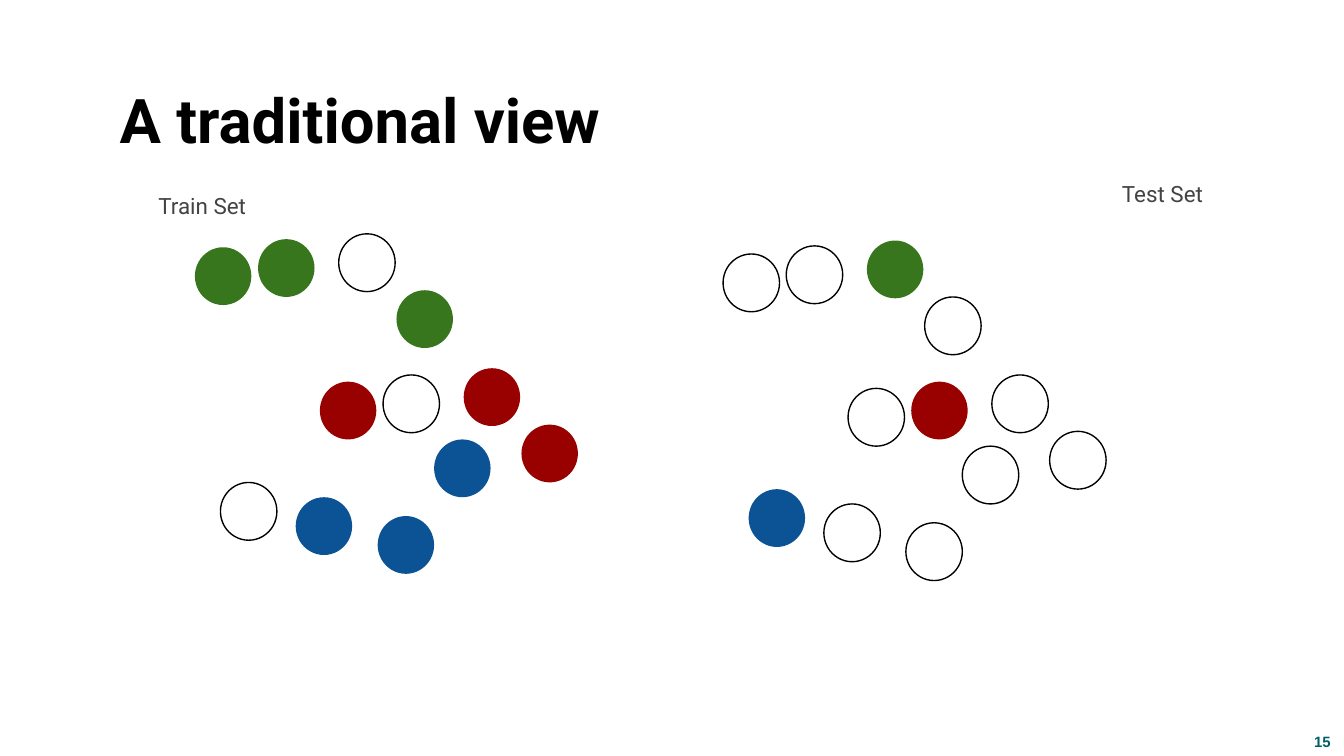
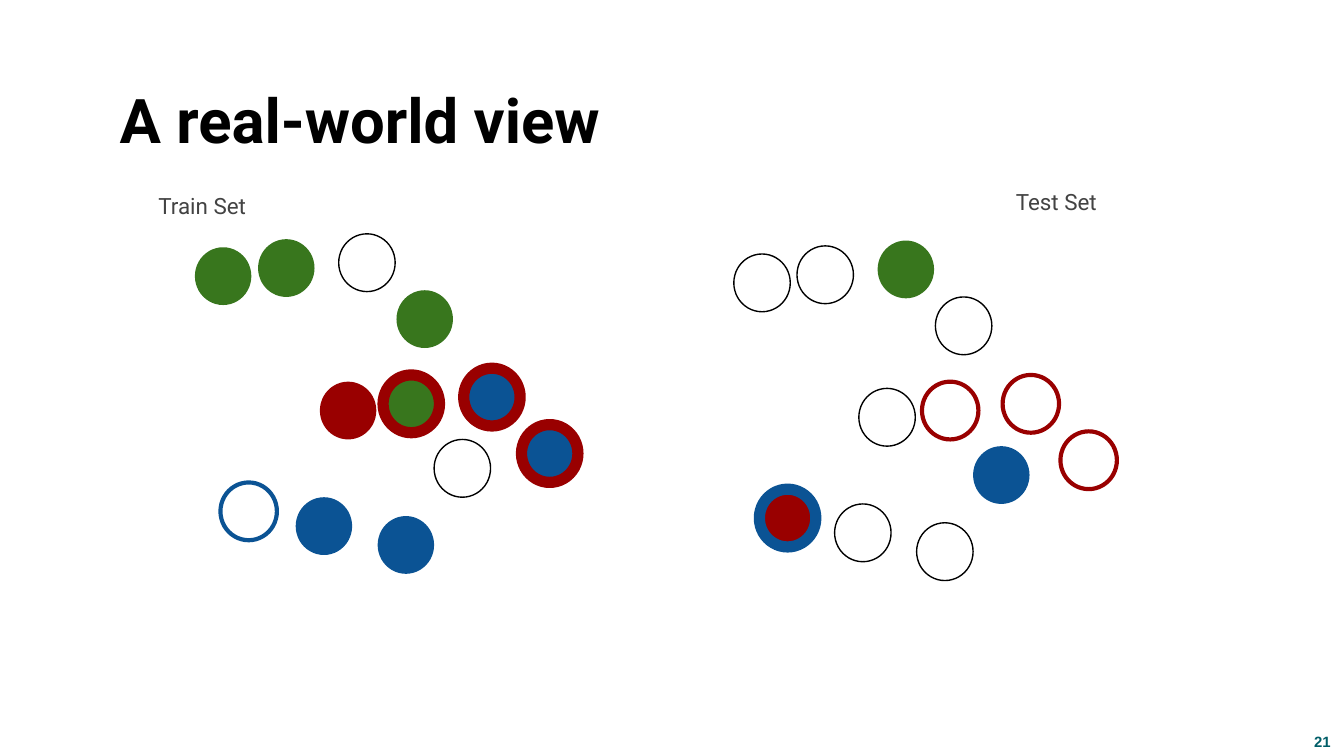
"""Build two slides that compare a traditional and a real-world view of train and test sets."""
from pptx import Presentation
from pptx.dml.color import RGBColor
from pptx.enum.shapes import MSO_SHAPE
from pptx.enum.text import MSO_ANCHOR, MSO_AUTO_SIZE, PP_ALIGN
from pptx.util import Inches, Pt

COLORS = {
    "black": "000000",
    "gray": "434343",
    "teal": "005E68",
    "green": "38761D",
    "red": "990000",
    "blue": "0B5394",
}

DOT_STYLES = {
    "empty": (None, "black", 0.75),
    "green": ("green", None, 0),
    "red": ("red", None, 0),
    "blue": ("blue", None, 0),
    "red ring": (None, "red", 2.25),
    "blue ring": (None, "blue", 2.25),
    "green in red": ("green", "red", 6),
    "blue in red": ("blue", "red", 6),
    "red in blue": ("red", "blue", 6),
}

DOT_POSITIONS = [
    (1.64, 3.59), (2.81, 3.84), (2.2, 3.7), (3.23, 3.27),
    (2.38, 2.84), (2.85, 2.79), (3.45, 2.74), (3.88, 3.16),
    (1.45, 1.84), (1.92, 1.78), (2.52, 1.74), (2.95, 2.16),
]

GREEN_TRAIN = ["green", "green", "empty", "green"]
GREEN_TEST = ["empty", "empty", "green", "empty"]

SLIDES = [
    {
        "title": "A traditional view",
        "number": "15",
        "sets": [
            ("Train Set", (0.79, 1.33, 8.43, 3.74), (0, 0),
             ["empty", "blue", "blue", "blue",
              "red", "empty", "red", "red"] + GREEN_TRAIN),
            ("Test Set", (7.96, 1.24, 2.04, 0.49), (3.93, 0.05),
             ["blue", "empty", "empty", "empty",
              "empty", "red", "empty", "empty"] + GREEN_TEST),
        ],
    },
    {
        "title": "A real-world view",
        "number": "21",
        "sets": [
            ("Train Set", (0.79, 1.33, 8.43, 3.74), (0, 0),
             ["blue ring", "blue", "blue", "empty",
              "red", "green in red", "blue in red", "blue in red"] + GREEN_TRAIN),
            ("Test Set", (7.17, 1.3, 2.83, 0.49), (4.01, 0.05),
             ["red in blue", "empty", "empty", "blue",
              "empty", "red ring", "red ring", "red ring"] + GREEN_TEST),
        ],
    },
]


def write_text(shape, box, text, font, size, color, bold=False, anchor=MSO_ANCHOR.TOP):
    shape.left, shape.top, shape.width, shape.height = [Inches(length) for length in box]
    frame = shape.text_frame
    frame.word_wrap = True
    frame.auto_size = MSO_AUTO_SIZE.NONE
    frame.vertical_anchor = anchor
    frame.margin_left = frame.margin_right = Inches(0.1)
    frame.margin_top = frame.margin_bottom = Inches(0.1)
    paragraph = frame.paragraphs[0]
    paragraph.alignment = PP_ALIGN.LEFT
    run = paragraph.add_run()
    run.text = text
    run.font.name = font
    run.font.size = Pt(size)
    run.font.bold = bold
    run.font.color.rgb = RGBColor.from_string(COLORS[color])
    return paragraph


def add_dot(slide, left, top, style):
    fill, line, width = DOT_STYLES[style]
    dot = slide.shapes.add_shape(
        MSO_SHAPE.OVAL, Inches(left), Inches(top), Inches(0.42), Inches(0.43))
    dot.shadow.inherit = False
    if fill:
        dot.fill.solid()
        dot.fill.fore_color.rgb = RGBColor.from_string(COLORS[fill])
    else:
        dot.fill.background()
    if line:
        dot.line.color.rgb = RGBColor.from_string(COLORS[line])
        dot.line.width = Pt(width)
    else:
        dot.line.fill.background()


presentation = Presentation()
presentation.slide_width = Inches(10)
presentation.slide_height = Inches(10 * 9 / 16)

for content in SLIDES:
    slide = presentation.slides.add_slide(presentation.slide_layouts[5])
    title = write_text(slide.shapes.title, (0.79, 0.57, 8.43, 0.63),
                       content["title"], "Roboto", 33, "black", bold=True)
    title.line_spacing = 0.9

    number_box = slide.shapes.add_textbox(0, 0, 0, 0)
    number = write_text(number_box, (9.24, 5.3, 0.76, 0.43), content["number"],
                        "Arial", 8, "teal", bold=True, anchor=MSO_ANCHOR.MIDDLE)
    number.alignment = PP_ALIGN.RIGHT

    for name, label_box, (shift_x, shift_y), styles in content["sets"]:
        label_shape = slide.shapes.add_textbox(0, 0, 0, 0)
        label = write_text(label_shape, label_box, name, "Roboto", 12, "gray")
        label.space_after = Pt(16)
        label._p.get_or_add_pPr().set("marL", str(Inches(0.29)))
        for (left, top), style in zip(DOT_POSITIONS, styles):
            add_dot(slide, left + shift_x, top + shift_y, style)

presentation.save("out.pptx")
